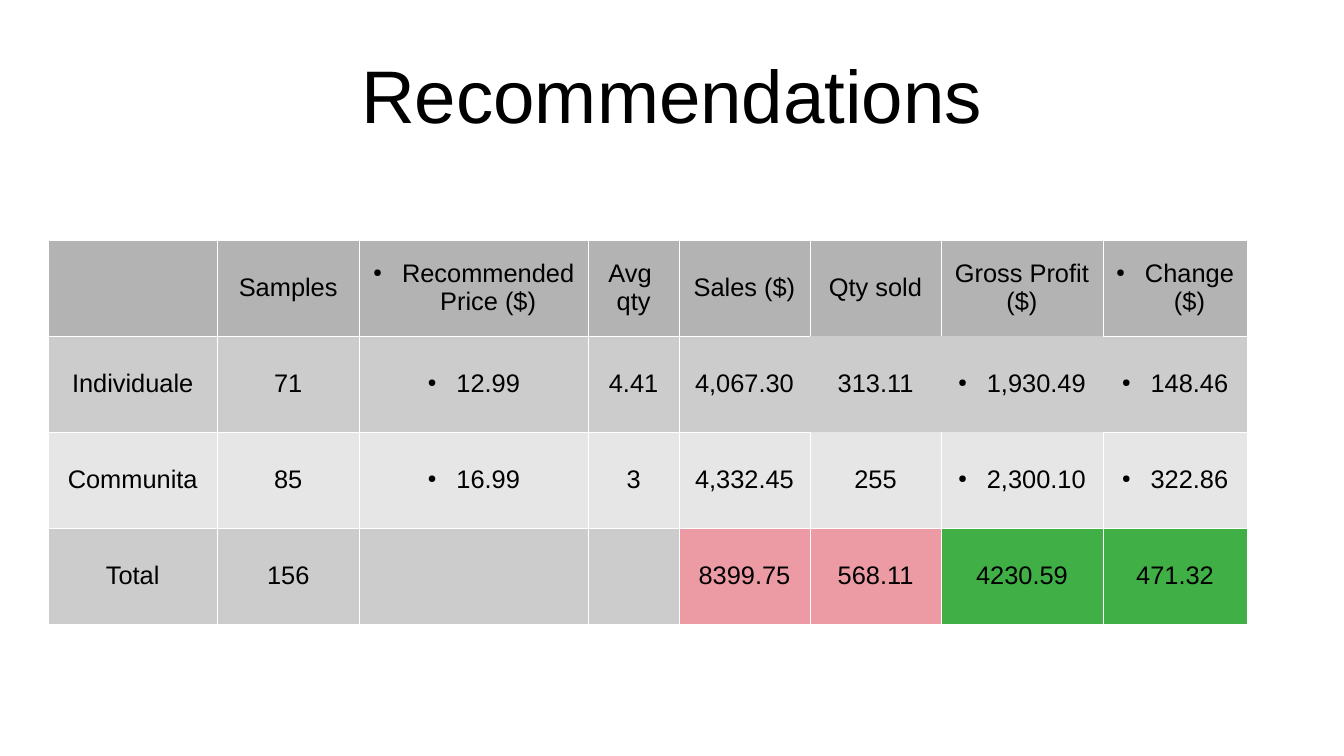
import dataclasses

import lxml.etree
import pptx
import pptx.dml.color
import pptx.enum.text
import pptx.oxml.ns
import pptx.util

Cm = pptx.util.Cm
Pt = pptx.util.Pt
qn = pptx.oxml.ns.qn


@dataclasses.dataclass(frozen=True)
class Theme:
    font: str = "Arial"
    text: str = "000000"
    border: str = "FFFFFF"
    header: str = "B3B3B3"
    band_dark: str = "CCCCCC"
    band_light: str = "E6E6E6"
    decrease: str = "EC9BA4"
    increase: str = "3FAF46"
    title_size: int = 44
    table_size: int = 15


THEME = Theme()

RECOMMENDATIONS = [
    ["", "Samples", "Recommended Price ($)", "Avg \nqty", "Sales ($)",
     "Qty sold", "Gross Profit ($)", "Change ($)"],
    ["Individuale", "71", "12.99", "4.41", "4,067.30", "313.11", "1,930.49", "148.46"],
    ["Communita", "85", "16.99", "3", "4,332.45", "255", "2,300.10", "322.86"],
    ["Total", "156", "", "", "8399.75", "568.11", "4230.59", "471.32"],
]
COLUMN_WIDTHS = [3.53, 2.95, 4.78, 1.88, 2.74, 2.72, 3.38, 3]
ROW_HEIGHT = 2
ROW_FILLS = [THEME.header, THEME.band_dark, THEME.band_light, THEME.band_dark]
TOTAL_FILLS = {
    (3, 4): THEME.decrease,
    (3, 5): THEME.decrease,
    (3, 6): THEME.increase,
    (3, 7): THEME.increase,
}
BULLETED = {(0, 2), (1, 2), (2, 2), (1, 6), (2, 6), (0, 7), (1, 7), (2, 7)}
BORDERLESS = {(1, 5), (1, 6)}
SIDES = {"lnL": (0, -1), "lnR": (0, 1), "lnT": (-1, 0), "lnB": (1, 0)}


class Deck:
    def __init__(self, theme, width, height):
        self.theme = theme
        self.presentation = pptx.Presentation()
        self.presentation.slide_width = Cm(width)
        self.presentation.slide_height = Cm(height)
        self.slide = None

    def add_slide(self):
        title_only = self.presentation.slide_layouts[5]
        self.slide = self.presentation.slides.add_slide(title_only)

    def style_paragraph(self, paragraph, size):
        paragraph.alignment = pptx.enum.text.PP_ALIGN.CENTER
        paragraph.font.name = self.theme.font
        paragraph.font.size = Pt(size)
        paragraph.font.color.rgb = pptx.dml.color.RGBColor.from_string(self.theme.text)

    def title(self, text, left, top, width, height):
        heading = self.slide.shapes.title
        heading.left, heading.top = Cm(left), Cm(top)
        heading.width, heading.height = Cm(width), Cm(height)
        frame = heading.text_frame
        frame.text = text
        frame.word_wrap = True
        frame.vertical_anchor = pptx.enum.text.MSO_ANCHOR.MIDDLE
        frame.margin_left = frame.margin_right = 0
        frame.margin_top = frame.margin_bottom = 0
        self.style_paragraph(frame.paragraphs[0], self.theme.title_size)

    def bullet(self, paragraph):
        properties = paragraph._p.get_or_add_pPr()
        properties.set("marL", str(Cm(0.6)))
        properties.set("indent", str(-Cm(0.6)))
        color = lxml.etree.Element(qn("a:buClr"))
        lxml.etree.SubElement(color, qn("a:srgbClr"), val=self.theme.text)
        size = lxml.etree.Element(qn("a:buSzPct"), val="45000")
        mark = lxml.etree.Element(qn("a:buChar"), char="●")
        for index, part in enumerate((color, size, mark)):
            properties.insert(index, part)

    def borders(self, cell, place):
        properties = cell._tc.get_or_add_tcPr()
        row, column = place
        for index, (side, (down, across)) in enumerate(SIDES.items()):
            line = lxml.etree.Element(qn("a:" + side), w=str(Pt(0.06)))
            if BORDERLESS & {place, (row + down, column + across)}:
                lxml.etree.SubElement(line, qn("a:noFill"))
            else:
                fill = lxml.etree.SubElement(line, qn("a:solidFill"))
                lxml.etree.SubElement(fill, qn("a:srgbClr"), val=self.theme.border)
            properties.insert(index, line)

    def cell(self, cell, text, place):
        cell.text = text
        cell.vertical_anchor = pptx.enum.text.MSO_ANCHOR.MIDDLE
        for paragraph in cell.text_frame.paragraphs:
            self.style_paragraph(paragraph, self.theme.table_size)
            if place in BULLETED:
                self.bullet(paragraph)
        cell.fill.solid()
        color = TOTAL_FILLS.get(place, ROW_FILLS[place[0]])
        cell.fill.fore_color.rgb = pptx.dml.color.RGBColor.from_string(color)
        self.borders(cell, place)

    def table(self, rows, widths, left, top):
        table = self.slide.shapes.add_table(
            len(rows), len(widths), Cm(left), Cm(top),
            Cm(sum(widths)), Cm(ROW_HEIGHT * len(rows))).table
        table.first_row = table.horz_banding = False
        for column, width in zip(table.columns, widths):
            column.width = Cm(width)
        for row_index, row in enumerate(rows):
            table.rows[row_index].height = Cm(ROW_HEIGHT)
            for column_index, text in enumerate(row):
                self.cell(table.cell(row_index, column_index), text,
                          (row_index, column_index))


def main():
    deck = Deck(THEME, 28, 15.75)
    deck.add_slide()
    deck.title("Recommendations", 1.4, 0.63, 25.2, 2.63)
    deck.table(RECOMMENDATIONS, COLUMN_WIDTHS, 1, 5)
    deck.presentation.save("out.pptx")


if __name__ == "__main__":
    main()
